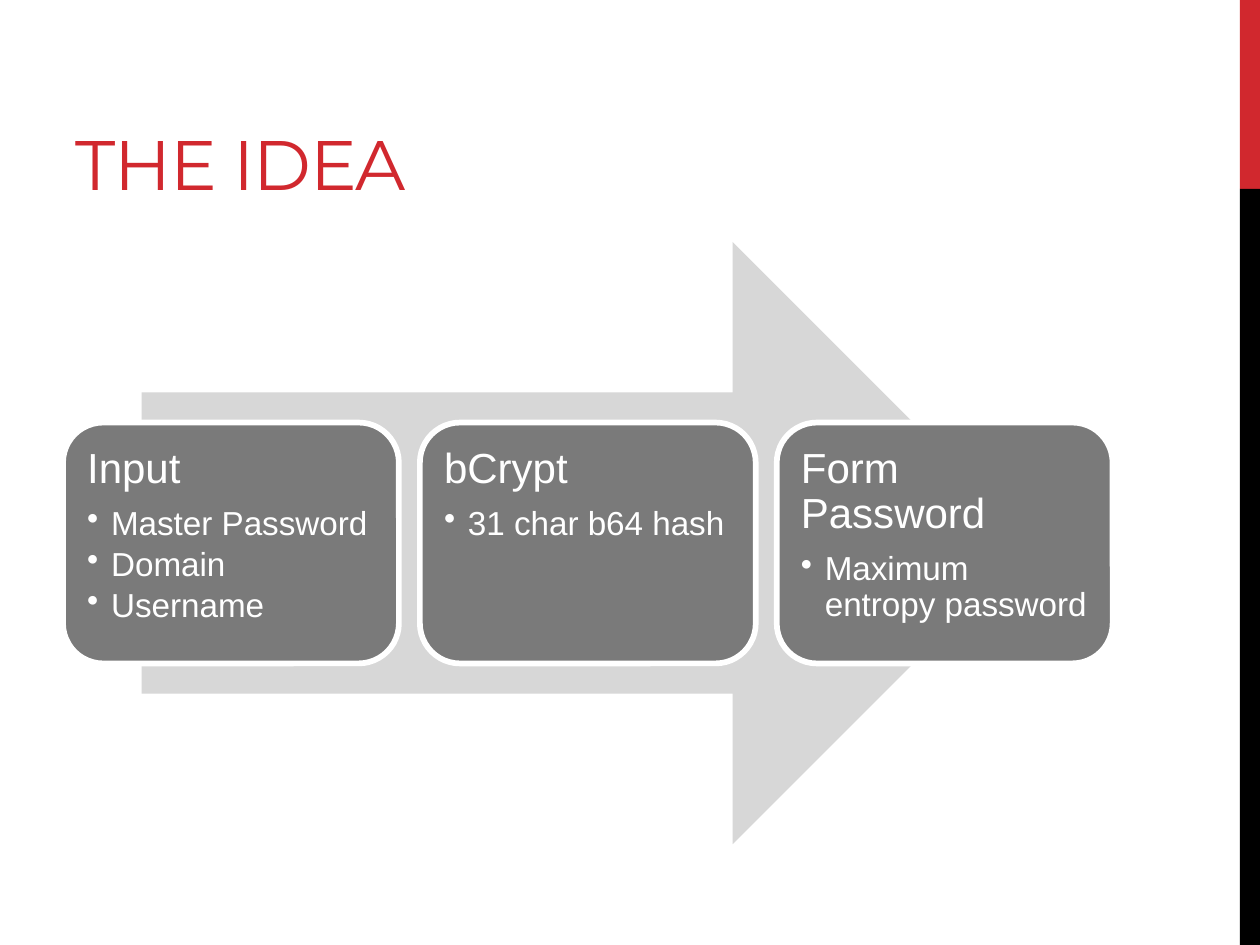
from lxml import etree
from pptx import Presentation
from pptx.dml.color import RGBColor
from pptx.enum.shapes import MSO_SHAPE
from pptx.enum.text import MSO_ANCHOR, PP_ALIGN
from pptx.oxml.ns import qn
from pptx.util import Inches, Pt

RECT, ARROW, ROUNDED = MSO_SHAPE.RECTANGLE, MSO_SHAPE.RIGHT_ARROW, MSO_SHAPE.ROUNDED_RECTANGLE
TOP, BOTTOM = MSO_ANCHOR.TOP, MSO_ANCHOR.BOTTOM
LEFT = PP_ALIGN.LEFT

WIDTH, HEIGHT = 10, 7.5
RED, BLACK, WHITE = "D1282E", "000000", "FFFFFF"
ARROW_GREY, CARD_GREY = "D7D7D7", "7A7A7A"
STEPS = [
    ("Input", ["Master Password", "Domain", "Username"]),
    ("bCrypt", ["31 char b64 hash"]),
    ("Form Password", ["Maximum entropy password"]),
]


def color(hex_string):
    return RGBColor.from_string(hex_string)


def add_block(slide, kind, box, fill, outline=None):
    block = slide.shapes.add_shape(kind, *(Inches(v) for v in box))
    block.shadow.inherit = False
    block.fill.solid()
    block.fill.fore_color.rgb = color(fill)
    if outline:
        block.line.color.rgb = color(outline)
        block.line.width = Pt(3.25)
    else:
        block.line.fill.background()
    return block


def add_run(paragraph, text, size, font, hex_string):
    run = paragraph.add_run()
    run.text = text
    run.font.size = Pt(size)
    run.font.name = font
    run.font.color.rgb = color(hex_string)
    return run


def add_bullet(paragraph, indent):
    properties = paragraph._p.get_or_add_pPr()
    properties.set("marL", str(Inches(indent)))
    properties.set("indent", str(-Inches(indent)))
    etree.SubElement(properties, qn("a:buChar")).set("char", "•")


def side_band(slide, box):
    """Vertical band: one fifth red, the rest black."""
    left, top, width, height = box
    red_height = height / 5
    add_block(slide, RECT, (left, top, width, red_height), RED)
    add_block(slide, RECT, (left, top + red_height, width, height - red_height), BLACK)


def heading(slide, box):
    title = slide.shapes.title
    title.left, title.top, title.width, title.height = (Inches(v) for v in box)
    frame = title.text_frame
    frame.word_wrap = True
    frame.vertical_anchor = BOTTOM
    paragraph = frame.paragraphs[0]
    paragraph.alignment = LEFT
    run = add_run(paragraph, "THE IDEA", 40, "Montserrat", RED)
    run.font._element.set("spc", "-60")


def step_card(slide, box, name, details):
    card = add_block(slide, ROUNDED, box, CARD_GREY, WHITE)
    frame = card.text_frame
    frame.word_wrap = True
    frame.vertical_anchor = TOP
    # The rounded outline already insets its text by 0.09
    frame.margin_left = frame.margin_right = Inches(0.1)
    frame.margin_top = frame.margin_bottom = Inches(0.1)
    for row, text in enumerate([name] + details):
        paragraph = frame.add_paragraph() if row else frame.paragraphs[0]
        paragraph.alignment = LEFT
        paragraph.line_spacing = 0.9
        paragraph.space_after = Pt(2.85 if row else 8.4)
        if row:
            paragraph.level = 1
            add_bullet(paragraph, 0.19)
        add_run(paragraph, text, 19 if row else 24, "Arial", WHITE)


def process(slide, box):
    """Wide arrow behind a row of equal step cards."""
    left, top, width, height = box
    arrow_width = width * 0.85
    add_block(slide, ARROW, (left + (width - arrow_width) / 2, top, arrow_width, height), ARROW_GREY)

    card_width, card_height = width * 0.32, height * 0.4
    pitch = (width - card_width) / (len(STEPS) - 1)
    card_top = top + (height - card_height) / 2
    for column, (name, details) in enumerate(STEPS):
        step_card(slide, (left + column * pitch, card_top, card_width, card_height), name, details)


def main():
    deck = Presentation()
    deck.slide_width, deck.slide_height = Inches(WIDTH), Inches(HEIGHT)
    slide = deck.slides.add_slide(deck.slide_layouts[5])
    side_band(slide, (WIDTH * 0.984, 0, WIDTH * 0.016, HEIGHT))
    heading(slide, (WIDTH * 0.05, 0.17, 6.33, HEIGHT / 5))
    process(slide, (WIDTH * 0.05, 1.92, 8.33, 4.78))
    deck.save("out.pptx")


if __name__ == "__main__":
    main()
